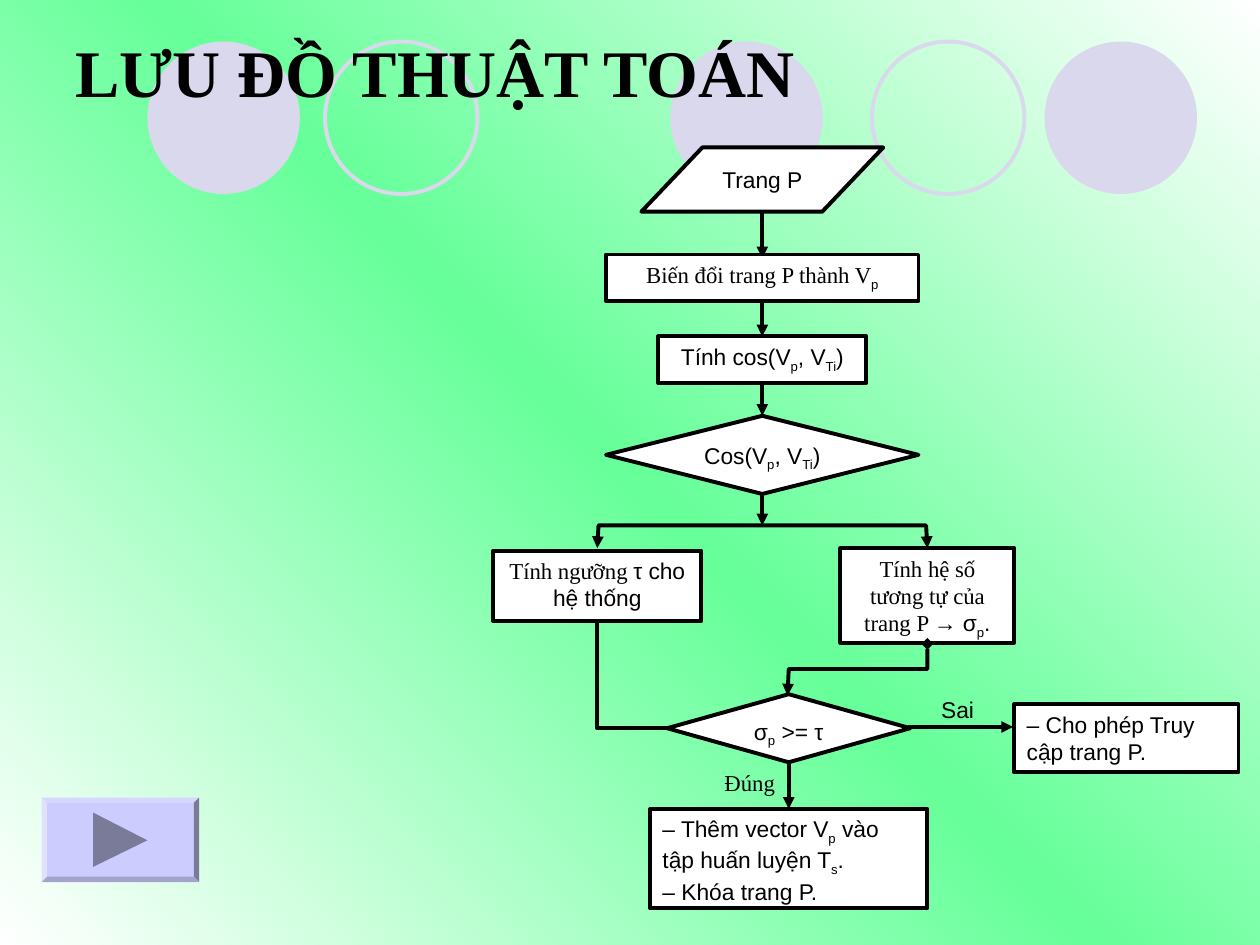
from copy import deepcopy
from dataclasses import dataclass

from lxml.etree import SubElement
from pptx import Presentation
from pptx.dml.color import RGBColor as Rgb
from pptx.enum.shapes import MSO_CONNECTOR as Link, MSO_SHAPE as Kind
from pptx.enum.text import MSO_ANCHOR as Anchor, MSO_AUTO_SIZE as Fit, PP_ALIGN as Align
from pptx.oxml.ns import qn
from pptx.util import Emu, Inches, Pt

COLUMNS, ROWS = 100, 75
WIDTH, HEIGHT = Inches(10), Inches(7.5)


@dataclass(frozen=True)
class Theme:
    ink: str = "000000"
    paper: str = "FFFFFF"
    glow: str = "66FF99"
    bubble: str = "D9D8EC"
    button: str = "CCCCFF"
    button_top: str = "D6D6FF"
    button_left: str = "E0E0FF"
    button_bottom: str = "A3A3CC"
    button_dark: str = "7A7A99"
    sans: str = "Arial"
    serif: str = "Times New Roman"
    title_size: int = 38
    body_size: int = 13
    stroke: float = 2.25


THEME = Theme()


def col(n):
    return Emu(round(WIDTH * n / COLUMNS))


def row(n):
    return Emu(round(HEIGHT * n / ROWS))


def area(left, top, width, height):
    return col(left), row(top), col(width), row(height)


def paint(shape, fill=None, line=None):
    shape.shadow.inherit = False
    if fill:
        shape.fill.solid()
        shape.fill.fore_color.rgb = Rgb.from_string(fill)
    else:
        shape.fill.background()
    if line:
        outline(shape, line)
    else:
        shape.line.fill.background()


def outline(shape, color):
    shape.line.color.rgb = Rgb.from_string(color)
    shape.line.width = Pt(THEME.stroke)


def add_run(paragraph, text, font, size=THEME.body_size, bold=False, sub=False):
    run = paragraph.add_run()
    run.text = text
    run.font.name, run.font.size, run.font.bold = font, Pt(size), bold
    run.font.color.rgb = Rgb.from_string(THEME.ink)
    if sub:
        run.font._element.set("baseline", "-25000")


def write(frame, text, lead="", align=Align.CENTER):
    """Bars enclose subscripts; the lead is set in the serif face."""
    frame.word_wrap = True
    frame.vertical_anchor = Anchor.TOP
    for index, line in enumerate(text.split("\n")):
        paragraph = frame.add_paragraph() if index else frame.paragraphs[0]
        paragraph.alignment = align
        if lead and not index:
            add_run(paragraph, lead, THEME.serif)
        for part, words in enumerate(line.split("|")):
            if words:
                add_run(paragraph, words, THEME.sans, sub=part % 2 == 1)


def add_node(slide, kind, center, top, width, height, text, lead="", align=Align.CENTER):
    node = slide.shapes.add_shape(kind, *area(center - width / 2, top, width, height))
    paint(node, THEME.paper, THEME.ink)
    if kind == Kind.PARALLELOGRAM:
        node.adjustments[0] = 0.95
    write(node.text_frame, text, lead, align)


def add_label(slide, center, top, width, text="", lead=""):
    label = slide.shapes.add_textbox(*area(center - width / 2, top, width, 3.7))
    write(label.text_frame, text, lead)


def add_heads(shape, head=None, tail=None):
    line = shape.line._get_or_add_ln()
    for tag, style in (("a:headEnd", head), ("a:tailEnd", tail)):
        if style:
            SubElement(line, qn(tag)).set("type", style)


def add_arrow(slide, x1, y1, x2, y2):
    arrow = slide.shapes.add_connector(Link.STRAIGHT, col(x1), row(y1), col(x2), row(y2))
    outline(arrow, THEME.ink)
    add_heads(arrow, tail="triangle")
    SubElement(arrow._element.spPr, qn("a:effectLst"))


def trace(slide, points, close):
    first, *rest = [(col(x), row(y)) for x, y in points]
    builder = slide.shapes.build_freeform(*first)
    builder.add_line_segments(rest, close=close)
    return builder.convert_to_shape()


def add_route(slide, points, head=None, tail=None):
    route = trace(slide, points, close=False)
    paint(route, line=THEME.ink)
    add_heads(route, head, tail)


def add_background(slide):
    fill = slide.background.fill
    fill.gradient()
    fill.gradient_angle = 225
    stops = fill.gradient_stops
    first = slide._element.find(".//" + qn("a:gs"))
    first.addnext(deepcopy(first))
    stops = fill.gradient_stops
    for stop, place, color in zip(stops, (0, 0.5, 1), (THEME.paper, THEME.glow, THEME.paper)):
        stop.position = place
        stop.color.rgb = Rgb.from_string(color)


def add_bubbles(slide):
    for left, solid in ((53.2, True), (82.9, True), (11.7, True), (69.2, False), (25.8, False)):
        bubble = slide.shapes.add_shape(Kind.OVAL, *area(left, 3.3, 12.1, 12.1))
        paint(bubble, THEME.bubble if solid else None, None if solid else THEME.bubble)


def add_title(slide, text):
    title = slide.shapes.title
    title.left, title.top, title.width, title.height = area(5, 1.7, 90, 7.8)
    frame = title.text_frame
    frame.auto_size, frame.word_wrap = Fit.NONE, True
    frame.vertical_anchor = Anchor.MIDDLE
    frame.paragraphs[0].alignment = Align.LEFT
    add_run(frame.paragraphs[0], text, THEME.serif, THEME.title_size, bold=True)
    slide.shapes._spTree.append(title._element)


def add_next_button(slide, left, top, right, bottom, bevel=0.42):
    outer = [(left, top), (right, top), (right, bottom), (left, bottom)]
    l, t, r, b = left + bevel, top + bevel, right - bevel, bottom - bevel
    inner = [(l, t), (r, t), (r, b), (l, b)]
    faces = [(outer, THEME.button)]
    edges = (THEME.button_top, THEME.button_dark, THEME.button_bottom, THEME.button_left)
    for i, color in enumerate(edges):
        j = (i + 1) % 4
        faces.append(([outer[i], outer[j], inner[j], inner[i]], color))
    faces.append(([(7.4, 64.5), (11.7, 66.7), (7.4, 68.8)], THEME.button_dark))
    for points, color in faces:
        paint(trace(slide, points, close=True), color)


def add_flowchart(slide):
    main, left, right, check = 60.5, 47.4, 73.6, 62.6
    for top, bottom in ((16.7, 20.5), (23.9, 26.7), (30.5, 33), (39.2, 41.7)):
        add_arrow(slide, main, top, main, bottom)
    add_arrow(slide, check, 60.5, check, 64.2)
    add_arrow(slide, 72.1, 57.7, 80.4, 57.7)

    add_node(slide, Kind.PARALLELOGRAM, main, 11.7, 19.2, 5.1, "Trang P")
    add_node(slide, Kind.RECTANGLE, main, 20.2, 24.8, 3.7, "|p|", "Biến đổi trang P thành V")
    add_node(slide, Kind.RECTANGLE, main, 26.7, 16.5, 3.7, "Tính cos(V|p|, V|Ti|)")
    add_node(slide, Kind.FLOWCHART_DECISION, main, 33, 24.8, 6.2, "Cos(V|p|, V|Ti|)")
    add_node(slide, Kind.RECTANGLE, left, 43.7, 16.5, 5.6, "τ cho hệ thống", "Tính ngưỡng ")
    add_node(slide, Kind.RECTANGLE, right, 43.5, 13.8, 7.5, "→ σ|p|.",
             "Tính hệ số tương tự của trang P ")
    add_node(slide, Kind.FLOWCHART_DECISION, check, 55.1, 19.3, 5.4, "σ|p| >= τ")
    add_node(slide, Kind.RECTANGLE, 89.4, 55.9, 17.8, 5.4, "– Cho phép Truy cập trang P.",
             align=Align.LEFT)
    add_node(slide, Kind.RECTANGLE, check, 64.2, 22, 7.9,
             "– Thêm vector V|p| vào tập huấn luyện T|s|.\n– Khóa trang P.", align=Align.LEFT)

    add_label(slide, 59.5, 60.5, 10.3, lead="Đúng")
    add_label(slide, 76, 54.7, 6.2, "Sai")

    add_route(slide, [(left, 43.5), (left + 0.1, 41.7), (right - 0.1, 41.7), (right, 43.5)],
              "triangle", "triangle")
    add_route(slide, [(right, 51.1), (right, 53.1), (check, 53.1), (check - 0.1, 55.2)],
              "diamond", "triangle")
    add_route(slide, [(left, 49.2), (left, 57.8), (52.9, 57.8)])


def main():
    deck = Presentation()
    deck.slide_width, deck.slide_height = WIDTH, HEIGHT
    slide = deck.slides.add_slide(deck.slide_layouts[5])
    add_background(slide)
    add_bubbles(slide)
    add_title(slide, "LƯU ĐỒ THUẬT TOÁN")
    add_flowchart(slide)
    add_next_button(slide, 3.3, 63.3, 15.8, 70)
    deck.save("out.pptx")


if __name__ == "__main__":
    main()
